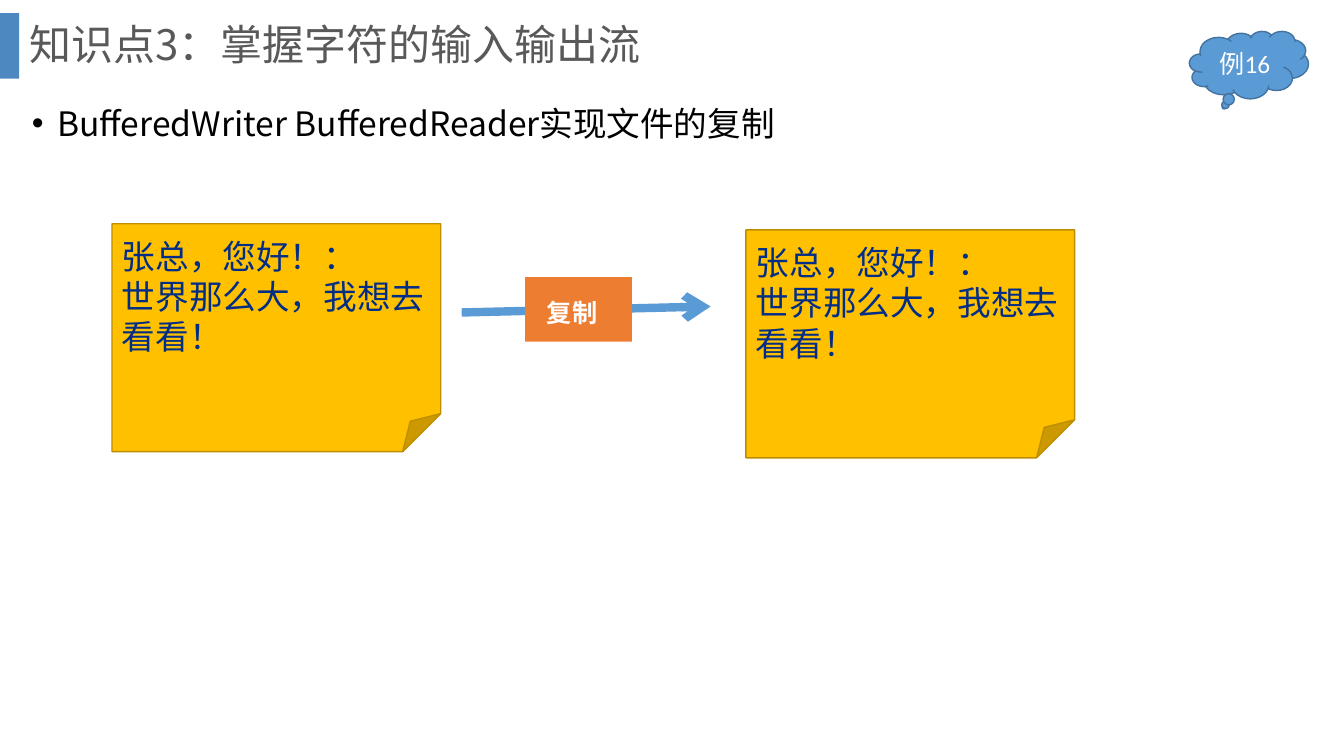
from dataclasses import dataclass

from lxml.etree import SubElement
from pptx import Presentation
from pptx.dml.color import RGBColor
from pptx.enum.shapes import MSO_CONNECTOR as Connector, MSO_SHAPE as Shape
from pptx.enum.text import MSO_ANCHOR as Anchor, PP_ALIGN as Align
from pptx.oxml.ns import qn
from pptx.util import Pt


@dataclass(frozen=True)
class Theme:
    """Colours, fonts and type sizes of the slide."""
    accent: str = "2E75B6"
    title: str = "595959"
    body: str = "000000"
    note: str = "FFC000"
    note_edge: str = "BD8E00"
    note_text: str = "012D86"
    blue: str = "5B9BD5"
    blue_edge: str = "43739E"
    label: str = "ED7D31"
    white: str = "FFFFFF"
    cjk_font: str = "Noto Sans CJK SC"
    latin_font: str = "Calibri"
    title_size: float = 30
    body_size: float = 24
    small_size: float = 18


THEME = Theme()


def write(box, *lines, size, color, font=THEME.cjk_font, bold=False, align=Align.LEFT,
          anchor=Anchor.TOP, spacing=None, before=None, left=7.2, top=3.6, bullet=False):
    """Fill a shape with one formatted paragraph per line."""
    frame = box.text_frame
    frame.word_wrap = True
    frame.vertical_anchor = anchor
    frame.margin_left, frame.margin_top = Pt(left), Pt(top)
    for index, line in enumerate(lines):
        para = frame.add_paragraph() if index else frame.paragraphs[0]
        para.alignment = align
        if spacing:
            para.line_spacing = spacing
        if before:
            para.space_before = Pt(before)
        if bullet:
            properties = para._p.get_or_add_pPr()
            properties.set("marL", str(Pt(18)))
            properties.set("indent", str(-Pt(18)))
            SubElement(properties, qn("a:buFont"), typeface="Arial")
            SubElement(properties, qn("a:buChar"), char="•")
        span = para.add_run()
        span.text = line
        span.font.size, span.font.bold, span.font.name = Pt(size), bold, font
        span.font.color.rgb = RGBColor.from_string(color)
        if font == THEME.cjk_font:
            SubElement(span._r.get_or_add_rPr(), qn("a:ea"), typeface=font)


def add_block(page, kind, box, fill, edge=None):
    """Add a flat preset shape with an optional outline."""
    block = page.shapes.add_shape(kind, *map(Pt, box))
    block.shadow.inherit = False
    block.fill.solid()
    block.fill.fore_color.rgb = RGBColor.from_string(fill)
    if edge:
        block.line.color.rgb = RGBColor.from_string(edge)
        block.line.width = Pt(1)
    else:
        block.line.fill.background()
    return block


def add_header(page, left, top, width, height):
    """Add the title with its accent bar."""
    bar_width = 13.7
    bar = add_block(page, Shape.RECTANGLE, (left, top + 9.4, bar_width, 46.8), THEME.accent)
    color = bar.fill._xPr.find(f".//{qn('a:srgbClr')}")
    SubElement(color, qn("a:alpha"), val="85000")
    title = page.shapes.add_textbox(*map(Pt, (left + bar_width, top, width - bar_width, height)))
    write(title, "知识点3：掌握字符的输入输出流", size=THEME.title_size, color=THEME.title,
          anchor=Anchor.MIDDLE, spacing=0.9)


def add_topic(page, *box):
    """Add the bulleted topic line."""
    topic = page.shapes.add_textbox(*map(Pt, box))
    write(topic, "BufferedWriter BufferedReader实现文件的复制", size=THEME.body_size,
          color=THEME.body, spacing=1.5, before=10, bullet=True)


def add_example(page, *box):
    """Add the cloud with the example number."""
    cloud = add_block(page, Shape.CLOUD_CALLOUT, box, THEME.blue, THEME.blue_edge)
    write(cloud, "例16", size=THEME.small_size, color=THEME.white, font=THEME.latin_font,
          align=Align.CENTER, anchor=Anchor.MIDDLE)


def add_note(page, *box):
    """Add one folded note with the letter."""
    note = add_block(page, Shape.FOLDED_CORNER, box, THEME.note, THEME.note_edge)
    write(note, "张总，您好！：", "世界那么大，我想去看看！", size=THEME.body_size,
          color=THEME.note_text, font=THEME.latin_font, top=8.5)


def add_copy_arrow(page, left, top, width, height):
    """Add the arrow between the notes and its label."""
    arrow = page.shapes.add_connector(
        Connector.STRAIGHT, Pt(left), Pt(top + 25.2), Pt(left + width), Pt(top + 20.9))
    arrow.line.color.rgb = RGBColor.from_string(THEME.blue)
    arrow.line.width = Pt(6)
    SubElement(arrow.line._get_or_add_ln(), qn("a:tailEnd"), type="arrow")
    SubElement(arrow._element.spPr, qn("a:effectLst"))
    label = add_block(page, Shape.RECTANGLE, (left + 45.3, top, 76.3, height), THEME.label)
    write(label, "复制", size=THEME.small_size, color=THEME.white, bold=True,
          spacing=1.5, before=10, left=15.5)


def main():
    """Build and save the slide."""
    deck = Presentation()
    deck.slide_width, deck.slide_height = Pt(960), Pt(540)
    page = deck.slides.add_slide(deck.slide_layouts[6])
    add_header(page, 0, 0, 925, 67)
    add_topic(page, 15.8, 55.4, 556.6, 75.6)
    add_note(page, 80, 159.8, 234.8, 162.8)
    add_note(page, 532.8, 164.2, 234.8, 162.8)
    add_copy_arrow(page, 329.8, 198, 177.8, 46)
    add_example(page, 849.6, 22.3, 85, 48.2)
    deck.save("out.pptx")


if __name__ == "__main__":
    main()
